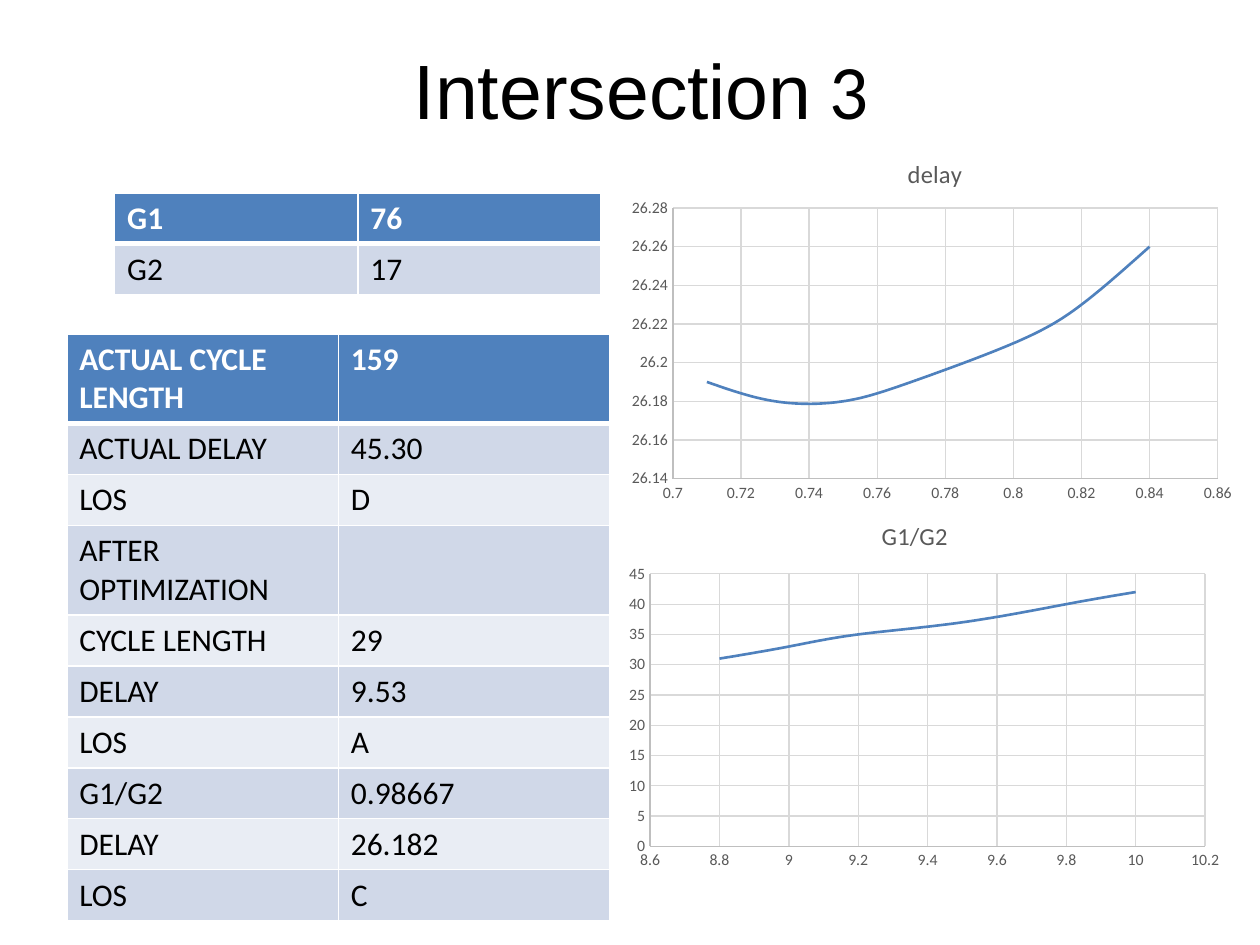
from lxml import etree
from pptx import Presentation
from pptx.chart.data import XyChartData
from pptx.dml.color import RGBColor
from pptx.enum.chart import XL_CHART_TYPE, XL_TICK_MARK
from pptx.enum.text import PP_ALIGN
from pptx.oxml import parse_xml
from pptx.oxml.ns import nsdecls, qn
from pptx.util import Inches, Pt

BLACK = RGBColor(0, 0, 0)
WHITE = RGBColor(0xFF, 0xFF, 0xFF)
BLUE = RGBColor(0x4F, 0x81, 0xBD)
BANDS = (RGBColor(0xD0, 0xD8, 0xE8), RGBColor(0xE9, 0xED, 0xF4))
GRAY = RGBColor(0x59, 0x59, 0x59)
AXIS = RGBColor(0xBF, 0xBF, 0xBF)
GRID = RGBColor(0xD9, 0xD9, 0xD9)

TITLE = (("Intersection", "Arial"), (" 3", "Calibri"))
ROW_HEIGHT = Inches(0.81 / 2)
TWO_LINE_HEIGHT = Inches(0.71)
TWO_LINE_LABELS = ("ACTUAL CYCLE LENGTH", "AFTER OPTIMIZATION")
TABLES = [
    {"at": (0.91, 1.53), "width": 3.86, "rows": [("G1", "76"), ("G2", "17")]},
    {"at": (0.53, 2.65), "width": 4.31, "rows": [
        ("ACTUAL CYCLE LENGTH", "159"),
        ("ACTUAL DELAY", "45.30"),
        ("LOS", "D"),
        ("AFTER OPTIMIZATION", ""),
        ("CYCLE LENGTH", "29"),
        ("DELAY", "9.53"),
        ("LOS", "A"),
        ("G1/G2", "0.98667"),
        ("DELAY", "26.182"),
        ("LOS", "C"),
    ]},
]
# Axis scales are minimum, maximum, step; plot is x, y, w, h as chart fractions.
CHARTS = [
    {"name": "delay", "at": (4.92, 1.1, 5, 2.98),
     "plot": (0.084, 0.185, 0.865, 0.721),
     "x": (0.7, 0.86, 0.02), "y": (26.14, 26.28, 0.02),
     "points": [(0.71, 26.19), (0.73, 26.18), (0.75, 26.18), (0.77, 26.19),
                (0.8, 26.21), (0.82, 26.23), (0.84, 26.26)]},
    {"name": "G1/G2", "at": (4.76, 3.97, 5, 3),
     "plot": (0.08, 0.195, 0.881, 0.721),
     "x": (8.6, 10.2, 0.2), "y": (0, 45, 5),
     "points": [(8.8, 31), (9, 33), (9.2, 35), (9.5, 37), (9.8, 40), (10, 42)]},
]


def style_font(font, size, color, bold=False, name="Calibri"):
    font.name, font.size, font.bold = name, Pt(size), bold
    font.color.rgb = color


def style_line(line, color, width):
    line.color.rgb = color
    line.width = Pt(width)


def add_borders(cell, top, bottom):
    """Put white lines round a cell, before its fill as the schema requires."""
    tc_pr = cell._tc.get_or_add_tcPr()
    widths = (("L", 1), ("R", 1), ("T", top), ("B", bottom))
    for i, (side, width) in enumerate(widths):
        tc_pr.insert(i, parse_xml(
            f'<a:ln{side} {nsdecls("a")} w="{Pt(width)}"><a:solidFill>'
            f'<a:srgbClr val="{WHITE}"/></a:solidFill></a:ln{side}>'))


def add_table(slide, at, width, rows):
    heights = [TWO_LINE_HEIGHT if label in TWO_LINE_LABELS else ROW_HEIGHT
               for label, _ in rows]
    left, top = map(Inches, at)
    table = slide.shapes.add_table(len(rows), 2, left, top, Inches(width),
                                   sum(heights)).table
    for r, values in enumerate(rows):
        table.rows[r].height = heights[r]
        header = r == 0
        for c, value in enumerate(values):
            cell = table.cell(r, c)
            cell.text = value
            style_font(cell.text_frame.paragraphs[0].font, 18,
                       WHITE if header else BLACK, header)
            cell.fill.solid()
            cell.fill.fore_color.rgb = BLUE if header else BANDS[(r - 1) % 2]
            # The edge below the header is thick on both cells that share it.
            add_borders(cell, 3 if r == 1 else 1, 3 if header else 1)


def style_axis(axis, scale):
    axis.minimum_scale, axis.maximum_scale, axis.major_unit = scale
    axis.major_tick_mark = axis.minor_tick_mark = XL_TICK_MARK.NONE
    axis.has_major_gridlines = True
    style_line(axis.major_gridlines.format.line, GRID, 0.75)
    style_line(axis.format.line, AXIS, 0.75)
    style_font(axis.tick_labels.font, 9, GRAY)
    axis.tick_labels.number_format = "General"
    axis.tick_labels.number_format_is_linked = False


def set_plot_area(chart, plot):
    """Fix the inner plot area, given as fractions of the chart."""
    area = chart._chartSpace.chart.plotArea
    for old in area.findall(qn("c:layout")):
        area.remove(old)
    layout = etree.Element(qn("c:layout"))
    manual = etree.SubElement(layout, qn("c:manualLayout"))
    settings = [("layoutTarget", "inner"), ("xMode", "edge"), ("yMode", "edge")]
    for tag, value in settings + list(zip("xywh", plot)):
        etree.SubElement(manual, qn(f"c:{tag}")).set("val", str(value))
    area.insert(0, layout)


def add_chart(slide, name, at, plot, x, y, points):
    data = XyChartData()
    series = data.add_series(name)
    for point in points:
        series.add_data_point(*point)
    chart = slide.shapes.add_chart(XL_CHART_TYPE.XY_SCATTER_SMOOTH_NO_MARKERS,
                                   *map(Inches, at), data).chart
    style_font(chart.font, 10, BLACK)
    chart.has_legend = False
    chart.has_title = True
    p = chart.chart_title.text_frame.paragraphs[0]
    p.text = name
    style_font(p.font, 14, GRAY)
    chart.chart_title.include_in_layout = False
    style_axis(chart.category_axis, x)
    style_axis(chart.value_axis, y)
    chart.plots[0].vary_by_categories = False
    curve = chart.plots[0].series[0]
    curve.smooth = True
    # Some renderers need the value written out.
    curve._element.find(qn("c:smooth")).set("val", "1")
    style_line(curve.format.line, BLUE, 1.5)
    set_plot_area(chart, plot)


def add_title(slide):
    tf = slide.shapes.add_textbox(*map(Inches, (0.59, 0.29, 9, 1.25))).text_frame
    tf.word_wrap = True
    p = tf.paragraphs[0]
    p.alignment = PP_ALIGN.CENTER
    for text, font_name in TITLE:
        r = p.add_run()
        r.text = text
        style_font(r.font, 44, BLACK, name=font_name)


def main():
    prs = Presentation()
    prs.slide_width, prs.slide_height = Inches(10), Inches(7.5)
    slide = prs.slides.add_slide(prs.slide_layouts[6])
    add_title(slide)
    for table in TABLES:
        add_table(slide, **table)
    for chart in CHARTS:
        add_chart(slide, **chart)
    prs.save("out.pptx")


if __name__ == "__main__":
    main()
